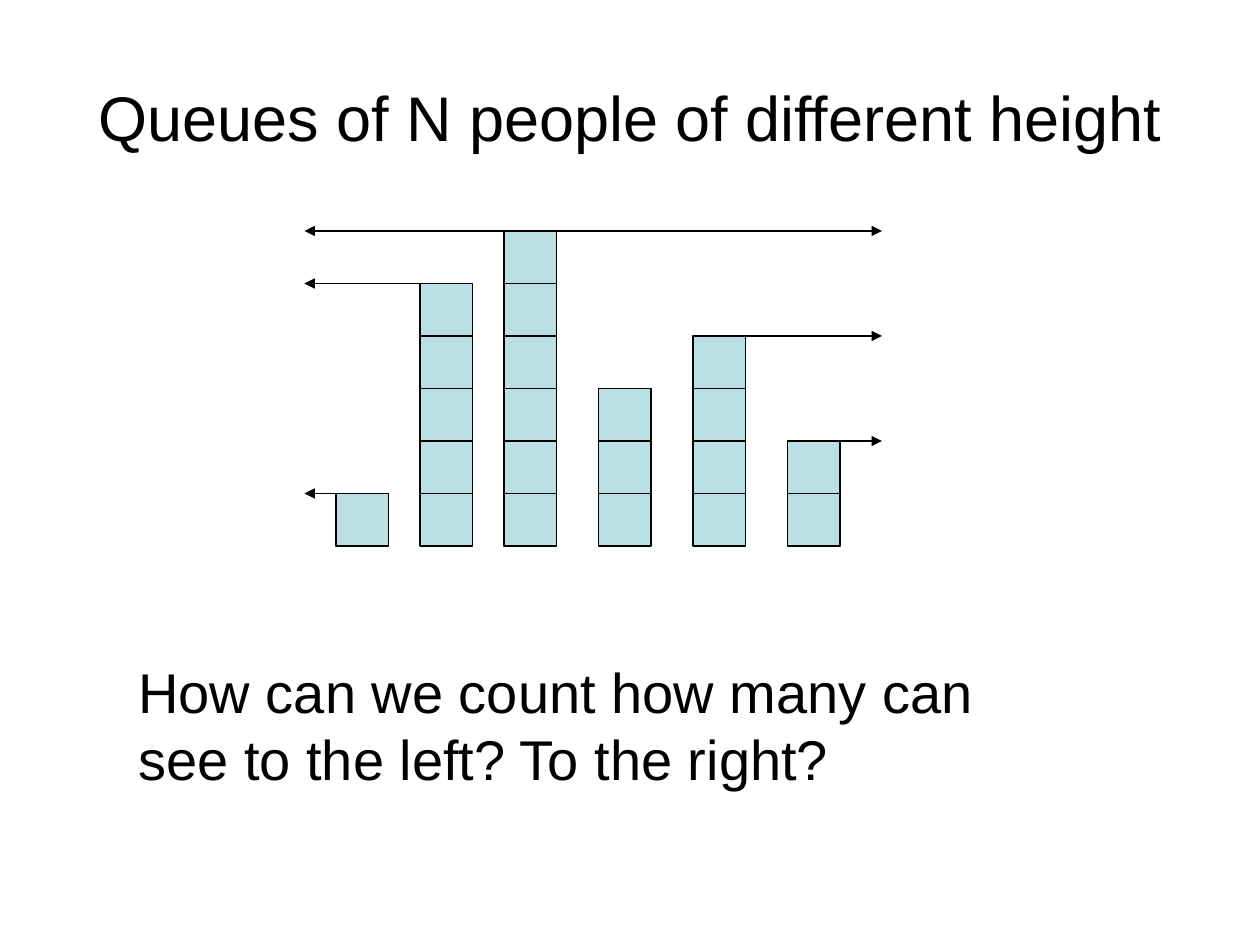
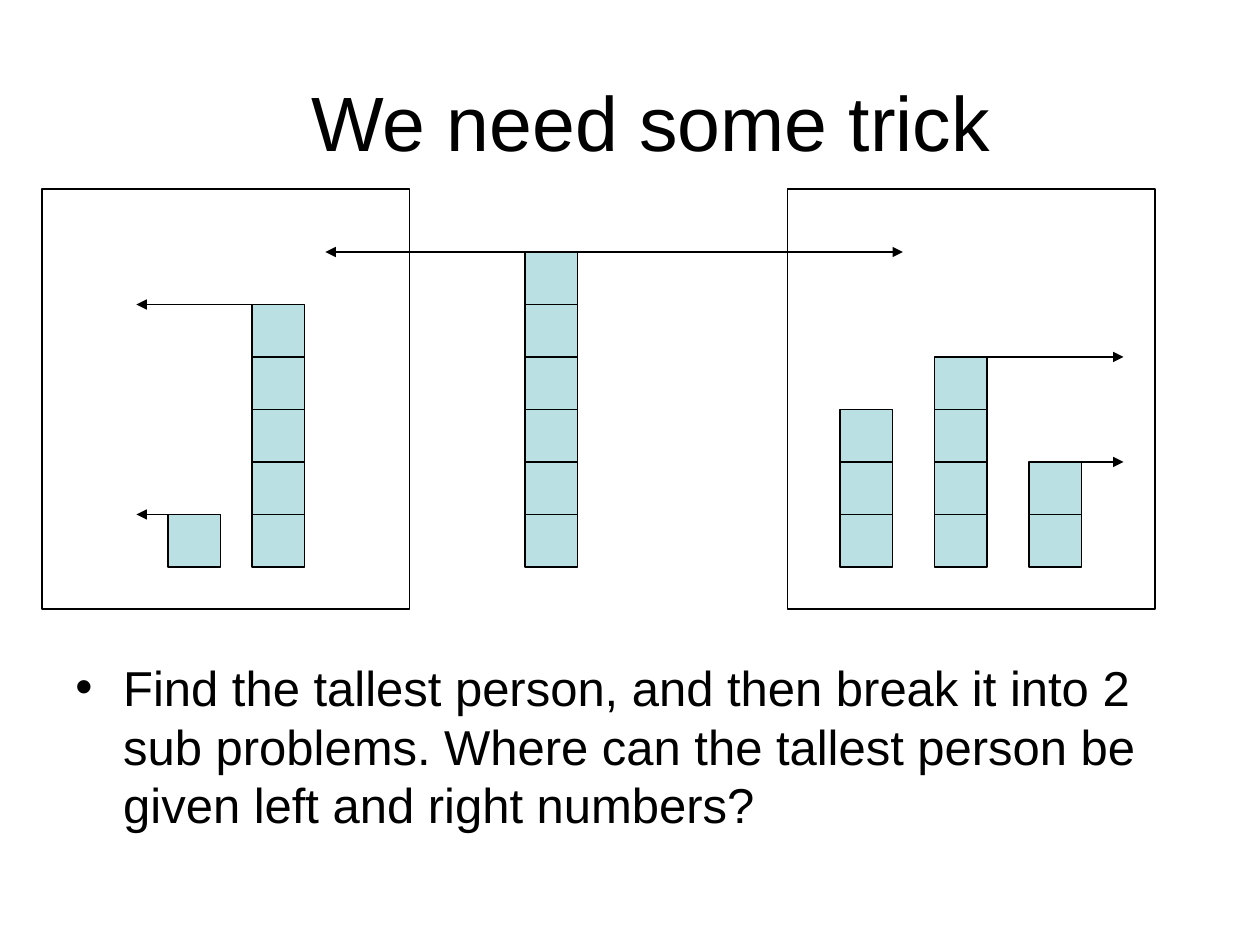
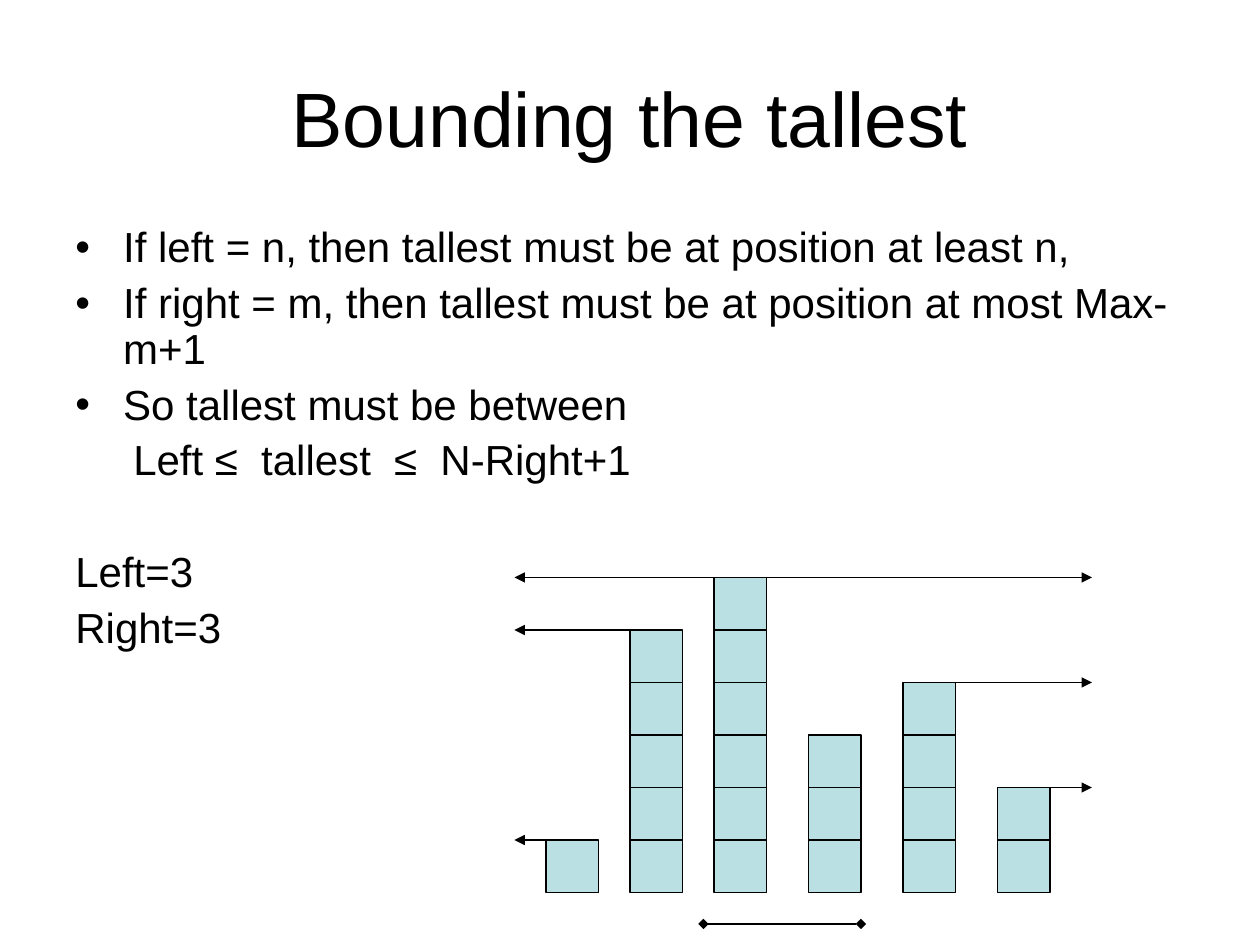
from dataclasses import dataclass
from typing import NamedTuple

import lxml.etree
import pptx
import pptx.dml.color
import pptx.enum.shapes
import pptx.enum.text
import pptx.oxml
import pptx.oxml.ns
import pptx.presentation
import pptx.shapes.autoshape
import pptx.slide
import pptx.text.text
import pptx.util

UNIT = pptx.util.Inches(1) // 12
COLUMNS = 120
ROWS = 90
BLOCK = 5
TITLE_ONLY = 5


@dataclass(frozen=True)
class Theme:
    font: str = "Arial"
    ink: str = "000000"
    block: str = "BBE0E3"
    title_size: int = 44
    long_title_size: int = 36
    question_size: int = 32
    body_size: int = 28
    list_size: int = 24
    line_width: float = 0.75
    indent: float = 0.38


class Area(NamedTuple):
    column: float
    row: float
    columns: float
    rows: float


class Person(NamedTuple):
    column: int
    height: int


class Point(NamedTuple):
    column: int
    row: int


THEME = Theme()
TITLE_AREA = Area(6, 3.6, 108, 15)
QUEUE = [
    Person(32, 1),
    Person(40, 5),
    Person(48, 6),
    Person(57, 3),
    Person(66, 4),
    Person(75, 2),
]
LEFT_VIEW = 29
RIGHT_VIEW = 84


def grid(count: float) -> int:
    return round(count * UNIT)


def color(value: str) -> pptx.dml.color.RGBColor:
    return pptx.dml.color.RGBColor.from_string(value)


def write_text(
    frame: pptx.text.text.TextFrame,
    text: str,
    *,
    size: int,
    bullet: bool = False,
    margin: float = 0,
    hanging: float = 0,
    before: float = 0,
    spacing: float = 1,
    align: pptx.enum.text.PP_ALIGN = pptx.enum.text.PP_ALIGN.LEFT,
) -> None:
    para = frame.add_paragraph() if frame.text else frame.paragraphs[0]
    properties = para._p.get_or_add_pPr()
    properties.set("marL", str(pptx.util.Inches(margin)))
    properties.set("indent", str(-pptx.util.Inches(hanging)))
    if bullet:
        tag = pptx.oxml.ns.qn
        lxml.etree.SubElement(properties, tag("a:buFont"), typeface=THEME.font)
        lxml.etree.SubElement(properties, tag("a:buChar"), char="•")
    para.alignment = align
    para.line_spacing = spacing
    para.space_before = pptx.util.Pt(before)
    span = para.add_run()
    span.text = text
    span.font.name = THEME.font
    span.font.size = pptx.util.Pt(size)
    span.font.color.rgb = color(THEME.ink)


def add_page(
    deck: pptx.presentation.Presentation,
    title: str,
    size: int = THEME.title_size,
    area: Area = TITLE_AREA,
) -> pptx.slide.Slide:
    page = deck.slides.add_slide(deck.slide_layouts[TITLE_ONLY])
    box = page.shapes.title
    box.left, box.top, box.width, box.height = map(grid, area)
    frame = box.text_frame
    frame.auto_size = pptx.enum.text.MSO_AUTO_SIZE.NONE
    frame.vertical_anchor = pptx.enum.text.MSO_ANCHOR.MIDDLE
    write_text(frame, title, size=size, align=pptx.enum.text.PP_ALIGN.CENTER)
    return page


def add_text_box(page: pptx.slide.Slide, area: Area) -> pptx.text.text.TextFrame:
    frame = page.shapes.add_textbox(*map(grid, area)).text_frame
    frame.word_wrap = True
    return frame


def add_rectangle(shapes, area: Area, fill: str | None = None) -> None:
    kind = pptx.enum.shapes.MSO_SHAPE.RECTANGLE
    box = shapes.add_shape(kind, *map(grid, area))
    box.shadow.inherit = False
    if fill:
        box.fill.solid()
        box.fill.fore_color.rgb = color(fill)
    else:
        box.fill.background()
    box.line.color.rgb = color(THEME.ink)
    box.line.width = pptx.util.Pt(THEME.line_width)


def add_line(
    page: pptx.slide.Slide,
    start: Point,
    end: Point,
    head: str | None = None,
    tail: str = "triangle",
) -> None:
    line = page.shapes.add_connector(
        pptx.enum.shapes.MSO_CONNECTOR.STRAIGHT, *map(grid, (*start, *end))
    )
    line.line.color.rgb = color(THEME.ink)
    line.line.width = pptx.util.Pt(THEME.line_width)
    outline = line.line._get_or_add_ln()
    for tag, kind in (("a:headEnd", head), ("a:tailEnd", tail)):
        if kind:
            lxml.etree.SubElement(outline, pptx.oxml.ns.qn(tag), type=kind)
    lxml.etree.SubElement(
        line._element.spPr, pptx.oxml.ns.qn("a:effectLst")
    )


def add_person(page: pptx.slide.Slide, column: int, height: int, floor: int) -> None:
    single = height == 1
    shapes = page.shapes if single else page.shapes.add_group_shape().shapes
    for level in range(1, height + 1):
        area = Area(column, floor - level * BLOCK, BLOCK, BLOCK)
        add_rectangle(shapes, area, THEME.block)


def add_queue(page: pptx.slide.Slide, shifts: list[int], floor: int) -> None:
    for person, shift in zip(QUEUE, shifts):
        add_person(page, person.column + shift, person.height, floor)
    heights = [person.height for person in QUEUE]
    for place, (person, shift) in enumerate(zip(QUEUE, shifts)):
        column = person.column + shift
        row = floor - person.height * BLOCK
        if person.height > max(heights[:place], default=0):
            add_line(page, Point(column, row), Point(LEFT_VIEW + shift, row))
        if person.height > max(heights[place + 1:], default=0):
            add_line(page, Point(column + BLOCK, row), Point(RIGHT_VIEW + shift, row))


def build_queue_page(deck: pptx.presentation.Presentation) -> None:
    page = add_page(
        deck, "Queues of N people of different height", THEME.long_title_size
    )
    add_queue(page, [0] * len(QUEUE), floor=52)
    write_text(
        add_text_box(page, Area(12, 62, 86, 14)),
        "How can we count how many can see to the left? To the right?",
        size=THEME.question_size,
    )


def build_trick_page(deck: pptx.presentation.Presentation) -> None:
    page = add_page(
        deck, "We need some trick", area=TITLE_AREA._replace(column=8, row=4)
    )
    write_text(
        add_text_box(page, Area(6, 62, 108, 18.4)),
        "Find the tallest person, and then break it into 2 sub problems. "
        "Where can the tallest person be given left and right numbers?",
        size=THEME.body_size,
        bullet=True,
        margin=THEME.indent,
        hanging=THEME.indent,
    )
    add_queue(page, [-16, -16, 2, 23, 23, 23], floor=54)
    for column in (4, 75):
        add_rectangle(page.shapes, Area(column, 18, 35, 40))


def build_bounds_page(deck: pptx.presentation.Presentation) -> None:
    page = add_page(deck, "Bounding the tallest")
    frame = add_text_box(page, Area(6, 21, 108, 43))
    bullets = [
        "If left = n, then tallest must be at position at least n,",
        "If right = m, then tallest must be at position at most Max-m+1",
        "So tallest must be between",
    ]
    for place, text in enumerate(bullets):
        write_text(
            frame,
            text,
            size=THEME.list_size,
            bullet=True,
            margin=THEME.indent,
            hanging=THEME.indent,
            before=6 if place else 0,
            spacing=0.9,
        )
    plain_lines = [
        ("Left ≤  tallest  ≤  N-Right+1", 0.46, 6),
        ("Left=3", 0, 38),
        ("Right=3", 0, 6),
    ]
    for text, margin, before in plain_lines:
        write_text(
            frame,
            text,
            size=THEME.list_size,
            margin=margin,
            before=before,
            spacing=0.9,
        )
    add_queue(page, [20] * len(QUEUE), floor=85)
    add_line(page, Point(67, 88), Point(82, 88), head="diamond", tail="diamond")


def main() -> None:
    deck = pptx.Presentation()
    deck.slide_width = grid(COLUMNS)
    deck.slide_height = grid(ROWS)
    build_queue_page(deck)
    build_trick_page(deck)
    build_bounds_page(deck)
    deck.save("out.pptx")


if __name__ == "__main__":
    main()
